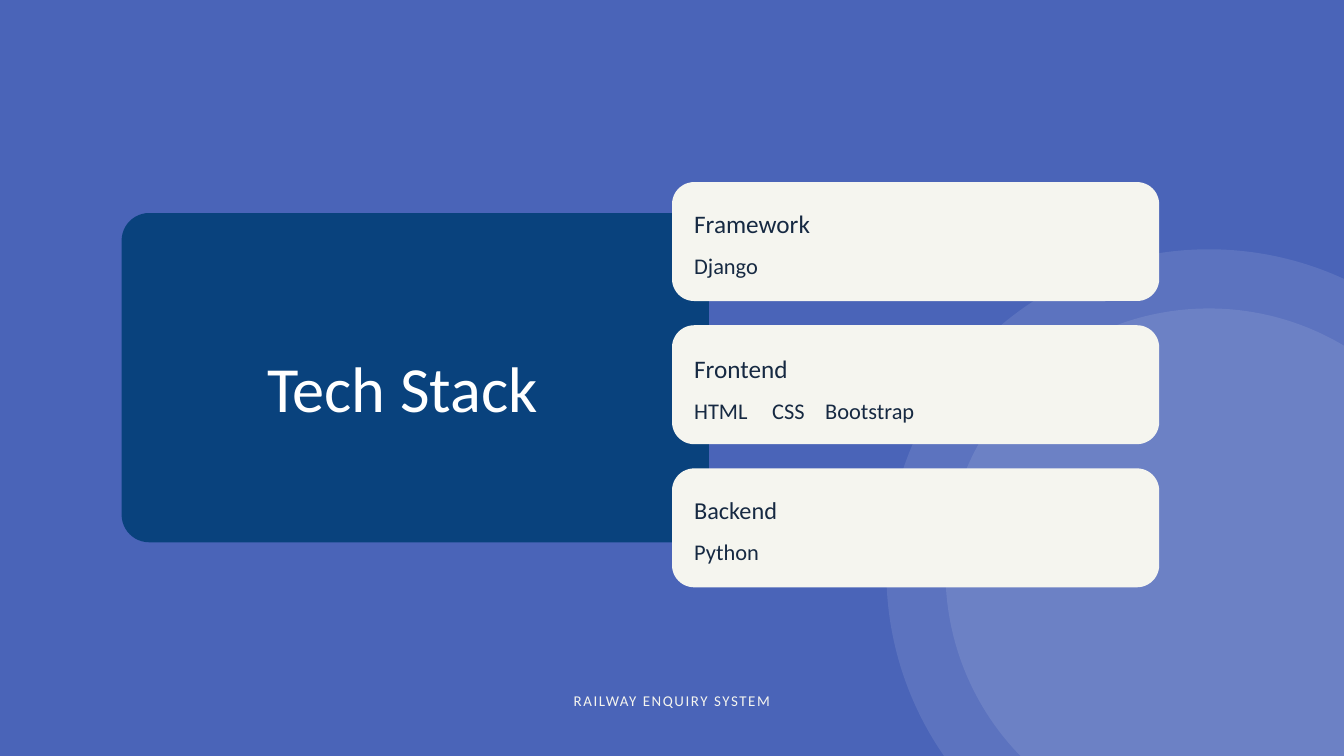
from lxml import etree
from pptx import Presentation
from pptx.dml.color import RGBColor
from pptx.enum.shapes import MSO_SHAPE
from pptx.enum.text import PP_ALIGN
from pptx.oxml.ns import qn
from pptx.util import Inches, Pt

OVAL = MSO_SHAPE.OVAL
ROUNDED = MSO_SHAPE.ROUNDED_RECTANGLE
LEFT, CENTER = PP_ALIGN.LEFT, PP_ALIGN.CENTER
FONT = "Calibri"
LEADING = 1.4
COLORS = {
    "background": "4A64B8",
    "panel": "09427D",
    "card": "F5F5EF",
    "ink": "162942",
    "white": "FFFFFF",
}
CARD_TOP, CARD_STEP = 2.71, 2.13
CARDS = [
    ("Framework", 27, 3.03, "Django", 3.69),
    ("Frontend", 27, 5.19, "HTML\tCSS\tBootstrap", 5.85),
    ("Backend", 26, 7.29, "Python", 7.94),
]
ITEM_TABS = (1.16, 1.95)


def color(name):
    return RGBColor.from_string(COLORS[name])


def add_block(slide, kind, left, top, width, height, fill):
    block = slide.shapes.add_shape(
        kind, Inches(left), Inches(top), Inches(width), Inches(height))
    block.shadow.inherit = False
    block.fill.solid()
    block.fill.fore_color.rgb = color(fill)
    block.line.fill.background()
    return block


def add_rounded(slide, left, top, width, height, radius, fill):
    block = add_block(slide, ROUNDED, left, top, width, height, fill)
    block.adjustments[0] = radius / min(width, height)


def add_disc(slide, center_x, center_y, diameter, opacity):
    radius = diameter / 2
    disc = add_block(slide, OVAL, center_x - radius, center_y - radius,
                     diameter, diameter, "white")
    fill = disc.fill._xPr.find(qn("a:solidFill"))
    etree.SubElement(fill[0], qn("a:alpha"), val=str(opacity * 1000))


def add_tabs(para, stops):
    properties = para._p.get_or_add_pPr()
    tabs = etree.SubElement(properties, qn("a:tabLst"))
    for stop in stops:
        etree.SubElement(tabs, qn("a:tab"), pos=str(Inches(stop)), algn="l")


def add_text(slide, text, left, top, width, height, size, ink,
             align=LEFT, spacing=0):
    box = slide.shapes.add_textbox(
        Inches(left), Inches(top), Inches(width), Inches(height))
    frame = box.text_frame
    layout = {"word_wrap": True, "margin_left": 0, "margin_right": 0,
              "margin_top": 0, "margin_bottom": 0}
    for name, value in layout.items():
        setattr(frame, name, value)
    para = frame.paragraphs[0]
    if "\t" in text:
        add_tabs(para, ITEM_TABS)
    para.alignment = align
    para.line_spacing = Pt(size * LEADING)
    span = para.add_run()
    span.text = text
    for name, value in {"name": FONT, "size": Pt(size)}.items():
        setattr(span.font, name, value)
    span.font.color.rgb = color(ink)
    if spacing:
        span._r.get_or_add_rPr().set("spc", str(round(spacing * 100)))


def add_cards(slide):
    for index, (heading, size, heading_top, items, items_top) in enumerate(CARDS):
        top = CARD_TOP + index * CARD_STEP
        add_rounded(slide, 10, top, 7.25, 1.77, 0.33, "card")
        add_text(slide, heading, 10.33, heading_top, 4.34, 0.48, size, "ink")
        add_text(slide, items, 10.33, items_top, 4.34, 0.43, 24, "ink")


def main():
    deck = Presentation()
    deck.slide_width, deck.slide_height = Inches(20), Inches(11.25)
    slide = deck.slides.add_slide(deck.slide_layouts[6])
    slide.background.fill.solid()
    slide.background.fill.fore_color.rgb = color("background")
    for diameter in (9.6, 7.84):
        add_disc(slide, 17.99, 8.51, diameter, 10)
    add_rounded(slide, 1.81, 3.17, 8.74, 4.9, 0.41, "panel")
    add_cards(slide)
    add_text(slide, "RAILWAY ENQUIRY SYSTEM", 8.28, 10.24, 3.44, 0.3,
             16, "card", CENTER, 1.7)
    add_text(slide, "Tech Stack", 3.32, 4.99, 5.34, 1.29, 69, "white", CENTER)
    deck.save("out.pptx")


if __name__ == "__main__":
    main()
